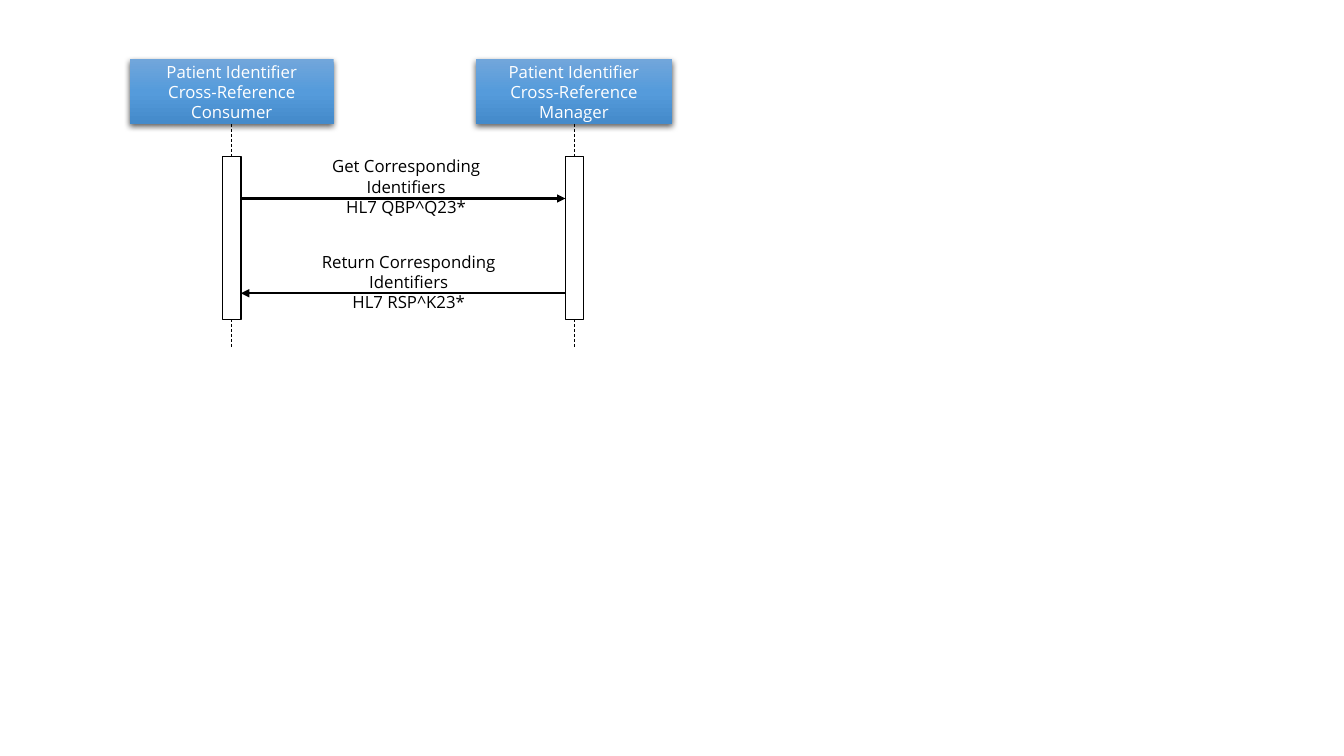
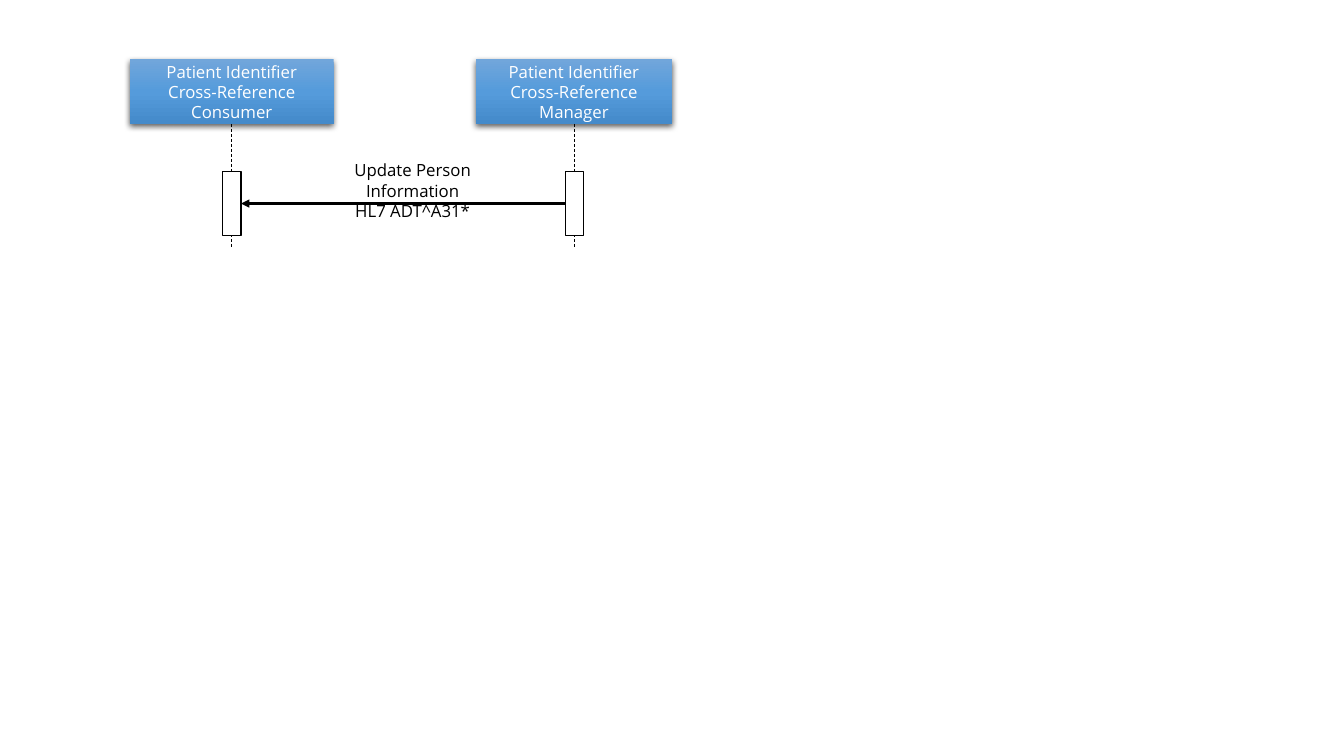
from dataclasses import dataclass

from lxml.etree import SubElement
from pptx import Presentation
from pptx.dml.color import RGBColor
from pptx.enum.dml import MSO_LINE
from pptx.enum.shapes import MSO_CONNECTOR, MSO_SHAPE
from pptx.enum.text import MSO_ANCHOR, MSO_AUTO_SIZE, PP_ALIGN
from pptx.oxml.ns import qn
from pptx.util import Pt


@dataclass(frozen=True)
class Theme:
    """Colours, font and sizes shared by the slides."""
    black: str = "000000"
    white: str = "FFFFFF"
    blues: tuple = ((0, "71A6DB"), (50000, "559BDB"), (100000, "448ACA"))
    font: str = "Open Sans"
    size: float = 12
    thin: float = 0.5
    edge: float = 1
    bold: float = 1.5


theme = Theme()
black = RGBColor.from_string(theme.black)
white = RGBColor.from_string(theme.white)

# Actors: name, left, width, centre of the lifeline
actors = [
    ("Patient Identifier Cross-Reference Consumer", 92.9, 145.4, 165.6),
    ("Patient Identifier Cross-Reference Manager", 339.8, 140.4, 410.4),
]
head_top, head_high, bar_wide, inset = 42.5, 46, 13, 8.64
near = actors[0][3] + bar_wide / 2
far = actors[1][3] - bar_wide / 2

# Diagrams: bar top, bar height, lifeline end, messages
# Messages: start x, end x, arrow y, label left, label top, label width, lines
diagrams = [
    (111.6, 116.8, 249, [
        (near, far, 141.8, 205.2, 108, 169.9,
         ("Get Corresponding Identifiers", "HL7 QBP^Q23*")),
        (far, near, 209.5, 198.7, 176.4, 186.5,
         ("Return Corresponding Identifiers", "HL7 RSP^K23*")),
    ]),
    (122.4, 46, 176.4, [
        (far, near, 145.4, 217.4, 110.9, 154.8,
         ("Update Person Information", "HL7 ADT^A31*")),
    ]),
]


def write(frame, lines, color):
    """Fill a text frame with centred paragraphs."""
    frame.word_wrap = True
    for at, text in enumerate(lines):
        para = frame.add_paragraph() if at else frame.paragraphs[0]
        para.alignment = PP_ALIGN.CENTER
        run = para.add_run()
        run.text = text
        run.font.name = theme.font
        run.font.size = Pt(theme.size)
        run.font.color.rgb = color


def draw(slide, start, end, width):
    """Draw a black straight line without a shadow."""
    line = slide.shapes.add_connector(
        MSO_CONNECTOR.STRAIGHT, *map(Pt, start + end))
    line.line.color.rgb = black
    line.line.width = Pt(width)
    SubElement(line._element.spPr, qn("a:effectLst"))
    return line


deck = Presentation()
deck.slide_width, deck.slide_height = Pt(960), Pt(540)

for bar_top, bar_high, life_end, messages in diagrams:
    slide = deck.slides.add_slide(deck.slide_layouts[6])

    for name, left, wide, mid in actors:
        head = slide.shapes.add_shape(
            MSO_SHAPE.RECTANGLE, Pt(left), Pt(head_top), Pt(wide), Pt(head_high))
        head.line.fill.background()
        head.fill.gradient()
        head.fill.gradient_angle = 270
        props = head._element.spPr
        stops = props.find(".//" + qn("a:gsLst"))
        for stop in list(stops):
            stops.remove(stop)
        for pos, blue in theme.blues:
            stop = SubElement(stops, qn("a:gs"), pos=str(pos))
            SubElement(stop, qn("a:srgbClr"), val=blue)

        head.shadow.inherit = False
        shade = SubElement(
            props.find(qn("a:effectLst")), qn("a:outerShdw"),
            blurRad=str(Pt(4.5)), dist=str(Pt(1.5)), dir="5400000",
            algn="ctr", rotWithShape="0")
        tint = SubElement(shade, qn("a:srgbClr"), val=theme.black)
        SubElement(tint, qn("a:alpha"), val="63000")

        frame = head.text_frame
        frame.vertical_anchor = MSO_ANCHOR.MIDDLE
        frame.margin_left = frame.margin_right = Pt(inset)
        frame.margin_top = frame.margin_bottom = Pt(inset)
        write(frame, [name], white)

        life = draw(slide, (mid, head_top + head_high), (mid, life_end), theme.thin)
        life.line.dash_style = MSO_LINE.DASH

        bar = slide.shapes.add_shape(
            MSO_SHAPE.RECTANGLE, Pt(mid - bar_wide / 2), Pt(bar_top),
            Pt(bar_wide), Pt(bar_high))
        bar.shadow.inherit = False
        bar.fill.solid()
        bar.fill.fore_color.rgb = white
        bar.line.color.rgb = black
        bar.line.width = Pt(theme.edge)

    for start, end, y, left, top, wide, lines in messages:
        arrow = draw(slide, (start, y), (end, y), theme.bold)
        SubElement(arrow.line._get_or_add_ln(), qn("a:tailEnd"), type="triangle")
        label = slide.shapes.add_textbox(Pt(left), Pt(top), Pt(wide), Pt(36))
        label.text_frame.auto_size = MSO_AUTO_SIZE.SHAPE_TO_FIT_TEXT
        write(label.text_frame, lines, black)

deck.save("out.pptx")
